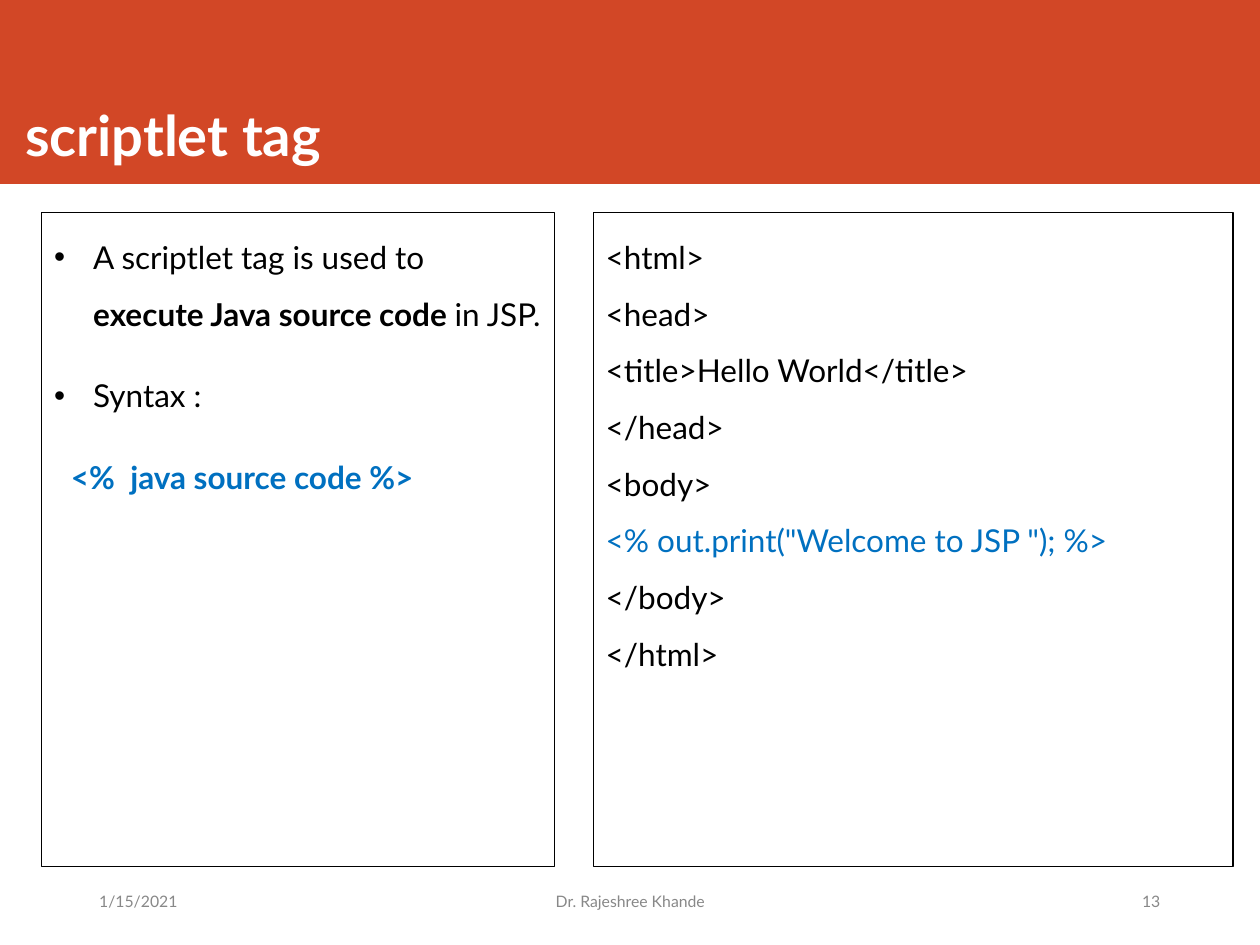
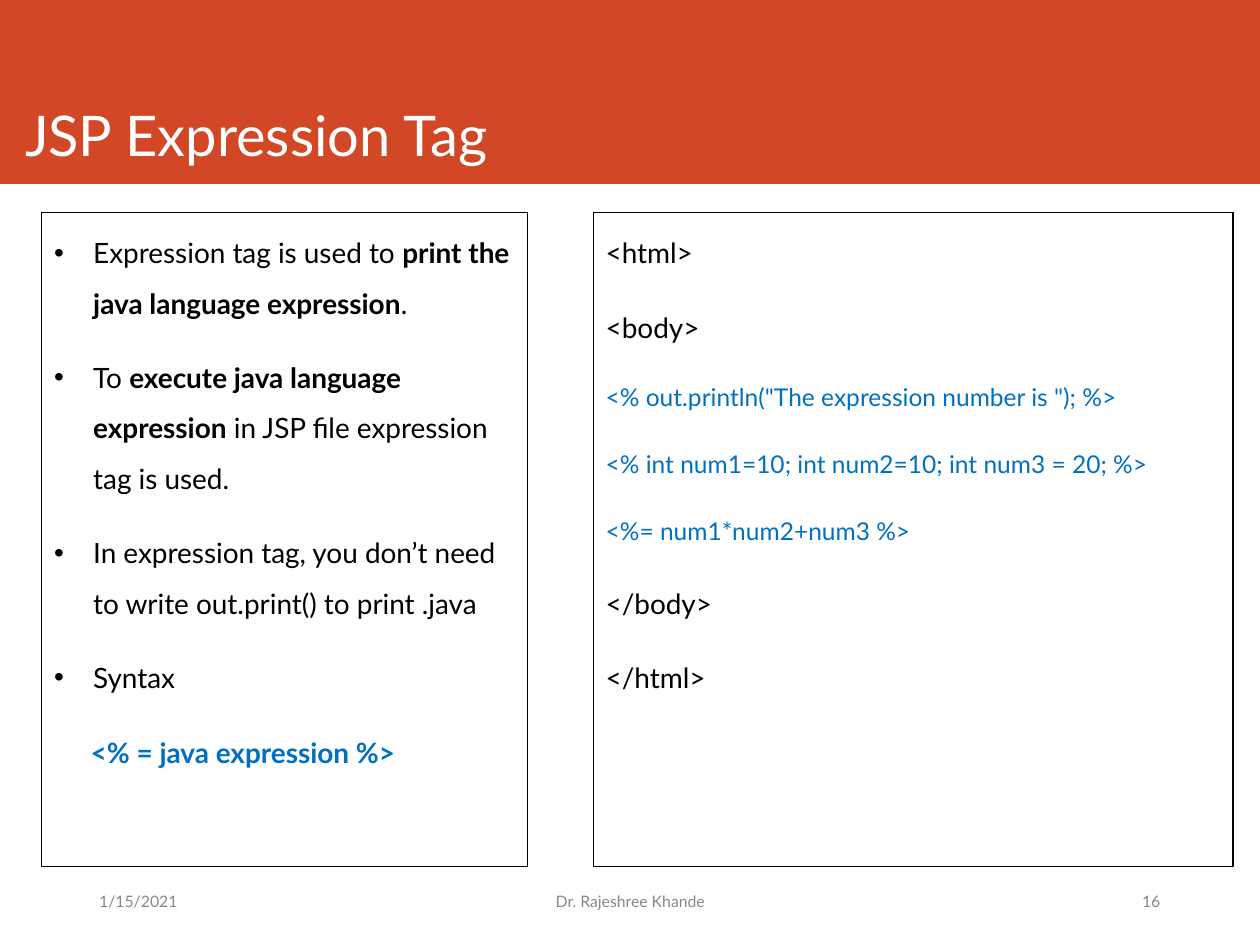
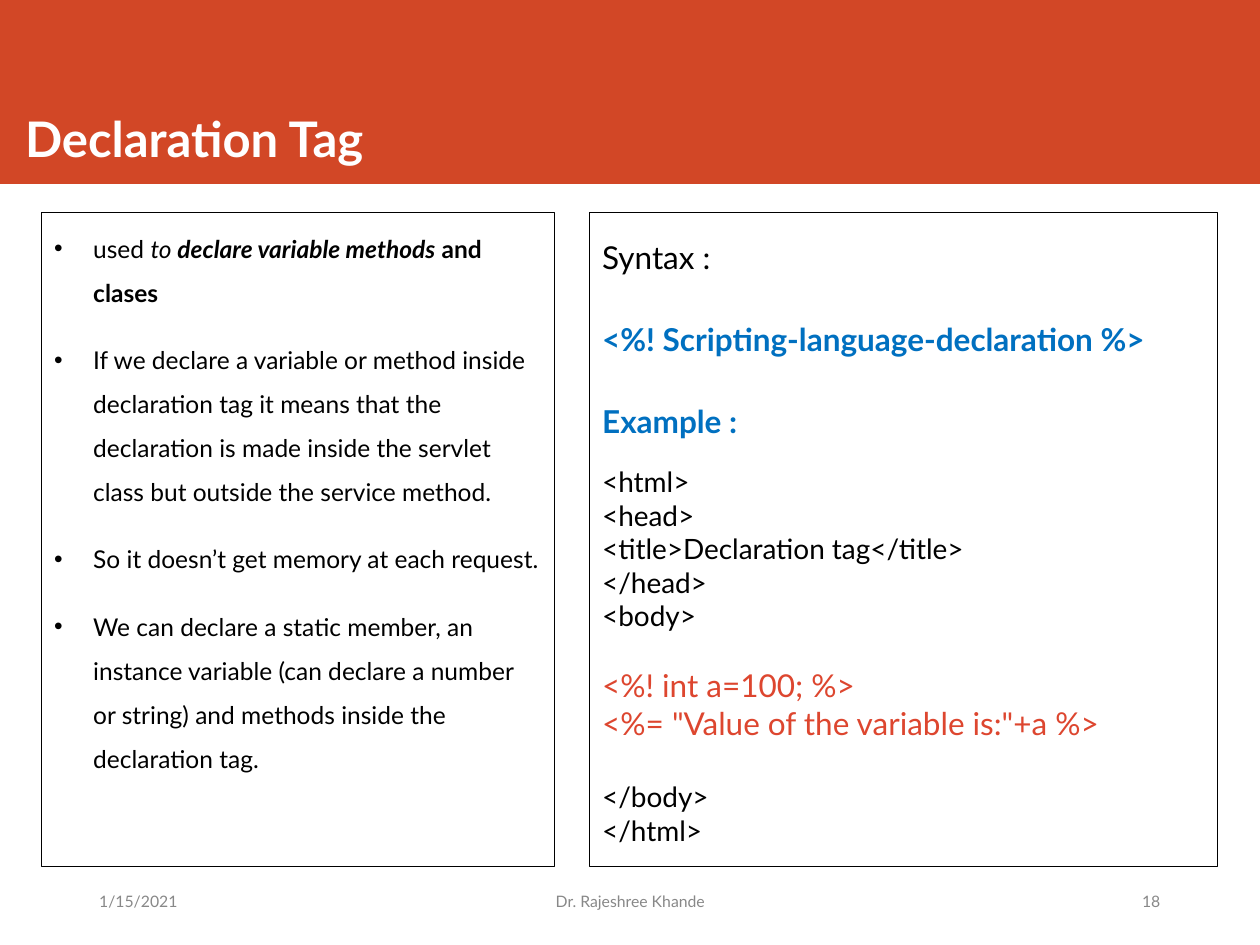
from dataclasses import dataclass

from lxml.etree import SubElement
from pptx import Presentation
from pptx.dml.color import RGBColor
from pptx.enum.shapes import MSO_SHAPE
from pptx.enum.text import MSO_ANCHOR, MSO_AUTO_SIZE, PP_ALIGN
from pptx.oxml.ns import qn
from pptx.util import Cm, Pt

COLORS = {
    "band": "D24726",
    "title": "FFFFFF",
    "text": "000000",
    "code": "0070C0",
    "accent": "DD462F",
    "footer": "888888",
}
FONT = "Lato"
SLIDE_WIDTH, SLIDE_HEIGHT = 25.4, 19.05
PANEL_TOP, PANEL_HEIGHT = 4.29, 13.18
LEFT_PANEL = 0.84
HANGING = 0.79
FOOTER_TOP, FOOTER_HEIGHT = 17.65, 1.02
DATE, AUTHOR = "1/15/2021", "Dr. Rajeshree Khande"


@dataclass
class Line:
    runs: list
    size: float
    color: str = "text"
    bullet: bool = False
    indent: float = 0
    before: float = 0
    spacing: float = 1.5


def rgb(name):
    return RGBColor.from_string(COLORS[name])


def style(run, size, color, bold=False, italic=False):
    run.font.name = FONT
    run.font.size = Pt(size)
    run.font.color.rgb = rgb(color)
    run.font.bold = bold
    run.font.italic = italic


def gap(size):
    return 9 + 0.3 * size


def bullets(size, *items):
    return [Line(runs, size, bullet=True, before=gap(size)) for runs in items]


def code(text, size, color="text", before=0, spacing=1.5):
    lines = [Line([(text_line, "")], size, color, spacing=spacing)
             for text_line in text.splitlines()]
    lines[0].before = before
    return lines


def spaced_code(text, size, color="text"):
    lines = code(text, size, color)
    for line in lines:
        line.before = gap(size)
    return lines


def syntax(text, size, indent=0):
    return [Line([(text, "b")], size, "code", indent=indent, before=gap(size))]


def add_bullet(paragraph):
    properties = paragraph._p.get_or_add_pPr()
    properties.set("marL", str(Cm(HANGING)))
    properties.set("indent", str(-Cm(HANGING)))
    bullet_color = SubElement(properties, qn("a:buClr"))
    SubElement(bullet_color, qn("a:srgbClr")).set("val", COLORS["text"])
    SubElement(properties, qn("a:buFont")).set("typeface", "Arial")
    SubElement(properties, qn("a:buChar")).set("char", "•")


def write_line(paragraph, line, first):
    if line.bullet:
        add_bullet(paragraph)
    elif line.indent:
        paragraph._p.get_or_add_pPr().set("marL", str(Cm(line.indent)))
    paragraph.alignment = PP_ALIGN.LEFT
    paragraph.line_spacing = line.spacing
    paragraph.space_before = Pt(0 if first else line.before)
    for text, marks in line.runs:
        run = paragraph.add_run()
        run.text = text
        style(run, line.size, line.color, "b" in marks, "i" in marks)


def add_rectangle(slide, left, top, width, height):
    rectangle = slide.shapes.add_shape(
        MSO_SHAPE.RECTANGLE, Cm(left), Cm(top), Cm(width), Cm(height))
    rectangle.shadow.inherit = False
    return rectangle


def add_panel(slide, left, width, lines):
    panel = add_rectangle(slide, left, PANEL_TOP, width, PANEL_HEIGHT)
    panel.fill.background()
    panel.line.color.rgb = rgb("text")
    panel.line.width = Pt(0.75)
    frame = panel.text_frame
    frame.word_wrap = True
    frame.vertical_anchor = MSO_ANCHOR.TOP
    for index, line in enumerate(lines):
        paragraph = frame.add_paragraph() if index else frame.paragraphs[0]
        write_line(paragraph, line, index == 0)


def add_band(slide):
    band = add_rectangle(slide, 0, 0, SLIDE_WIDTH, 3.71)
    band.fill.solid()
    band.fill.fore_color.rgb = rgb("band")
    band.line.fill.background()
    slide.shapes._spTree.insert(2, band._element)


def set_title(slide, text, size, bold):
    title = slide.shapes.title
    title.left, title.top = Cm(0.25), Cm(0.15)
    title.width, title.height = Cm(22.4), Cm(3.35)
    frame = title.text_frame
    frame.text = text
    frame.word_wrap = True
    frame.auto_size = MSO_AUTO_SIZE.NONE
    frame.vertical_anchor = MSO_ANCHOR.BOTTOM
    frame.paragraphs[0].alignment = PP_ALIGN.LEFT
    style(frame.paragraphs[0].runs[0], size, "title", bold)


def add_footer(slide, number):
    for text, left, width, alignment in (
        (DATE, 1.75, 6.83, PP_ALIGN.LEFT),
        (AUTHOR, 9.68, 6.05, PP_ALIGN.CENTER),
        (str(number), 16.81, 6.83, PP_ALIGN.RIGHT),
    ):
        box = slide.shapes.add_textbox(
            Cm(left), Cm(FOOTER_TOP), Cm(width), Cm(FOOTER_HEIGHT))
        frame = box.text_frame
        frame.text = text
        frame.word_wrap = True
        frame.vertical_anchor = MSO_ANCHOR.MIDDLE
        frame.paragraphs[0].alignment = alignment
        style(frame.paragraphs[0].runs[0], 9, "footer")


def add_tag_slide(deck, title, number, explanation, example,
                  title_size=32, title_bold=True):
    slide = deck.slides.add_slide(deck.slide_layouts[5])
    add_band(slide)
    set_title(slide, title, title_size, title_bold)
    add_panel(slide, LEFT_PANEL, *explanation)
    add_panel(slide, *example)
    add_footer(slide, number)


def add_scriptlet(deck):
    explanation = bullets(
        18,
        [("A scriptlet tag is used to ", ""),
         ("execute Java source code ", "b"), ("in JSP.", "")],
        [("Syntax :", "")],
    ) + syntax("<%  java source code %>", 18, 0.34)
    example = (
        code("<html>\n<head>\n<title>Hello World</title>\n</head>\n<body>", 18)
        + code('<% out.print("Welcome to JSP "); %>', 18, "code")
        + code("</body>\n</html>", 18)
    )
    add_tag_slide(deck, "scriptlet tag", 13,
                  (10.34, explanation), (11.96, 12.9, example))


def add_expression(deck):
    explanation = bullets(
        16,
        [("Expression tag is used to ", ""),
         ("print the java language expression", "b"), (".", "")],
        [("To ", ""), ("execute java language expression", "b"),
         (" in JSP file expression tag is used.", "")],
        [("In expression tag, you don’t need to write out.print() "
          "to print .java", "")],
        [("Syntax", "")],
    ) + syntax("<% = java expression %>", 16, 0.74)
    example = (
        spaced_code("<html>\n<body>", 16)
        + spaced_code('<% out.println("The expression number is "); %>\n'
                      "<% int num1=10; int num2=10; int num3 = 20; %>\n"
                      "<%= num1*num2+num3 %>", 14, "code")
        + spaced_code("</body>\n</html>", 16)
    )
    add_tag_slide(deck, "JSP Expression Tag", 16,
                  (9.8, explanation), (11.96, 12.9, example),
                  title_bold=False)


def add_declaration(deck):
    explanation = bullets(
        14,
        [("used ", ""), ("to ", "i"), ("declare variable methods", "bi"),
         (" and clases", "b")],
        [("If we declare a variable or method inside declaration tag it "
          "means that the declaration is made inside the servlet class but "
          "outside the service method.", "")],
        [("So it doesn’t get memory at each request.", "")],
        [("We can declare a static member, an instance variable (can declare "
          "a number or string) and methods inside the declaration tag.", "")],
    )
    example = (
        code("Syntax :", 18)
        + syntax("<%! Scripting-language-declaration %>", 18)
        + syntax("Example :", 18)
        + code("<html>\n<head>\n<title>Declaration tag</title>\n</head>\n"
               "<body>", 16, before=14.4, spacing=1)
        + code('<%! int a=100; %>\n<%= "Value of the variable is:"+a %>',
               18, "accent", before=19.2, spacing=1)
        + code("</body>\n</html>", 16, before=21.6, spacing=1)
    )
    add_tag_slide(deck, "Declaration Tag", 18,
                  (10.34, explanation), (11.89, 12.65, example),
                  title_size=28)


def main():
    deck = Presentation()
    deck.slide_width, deck.slide_height = Cm(SLIDE_WIDTH), Cm(SLIDE_HEIGHT)
    add_scriptlet(deck)
    add_expression(deck)
    add_declaration(deck)
    deck.save("out.pptx")


if __name__ == "__main__":
    main()
